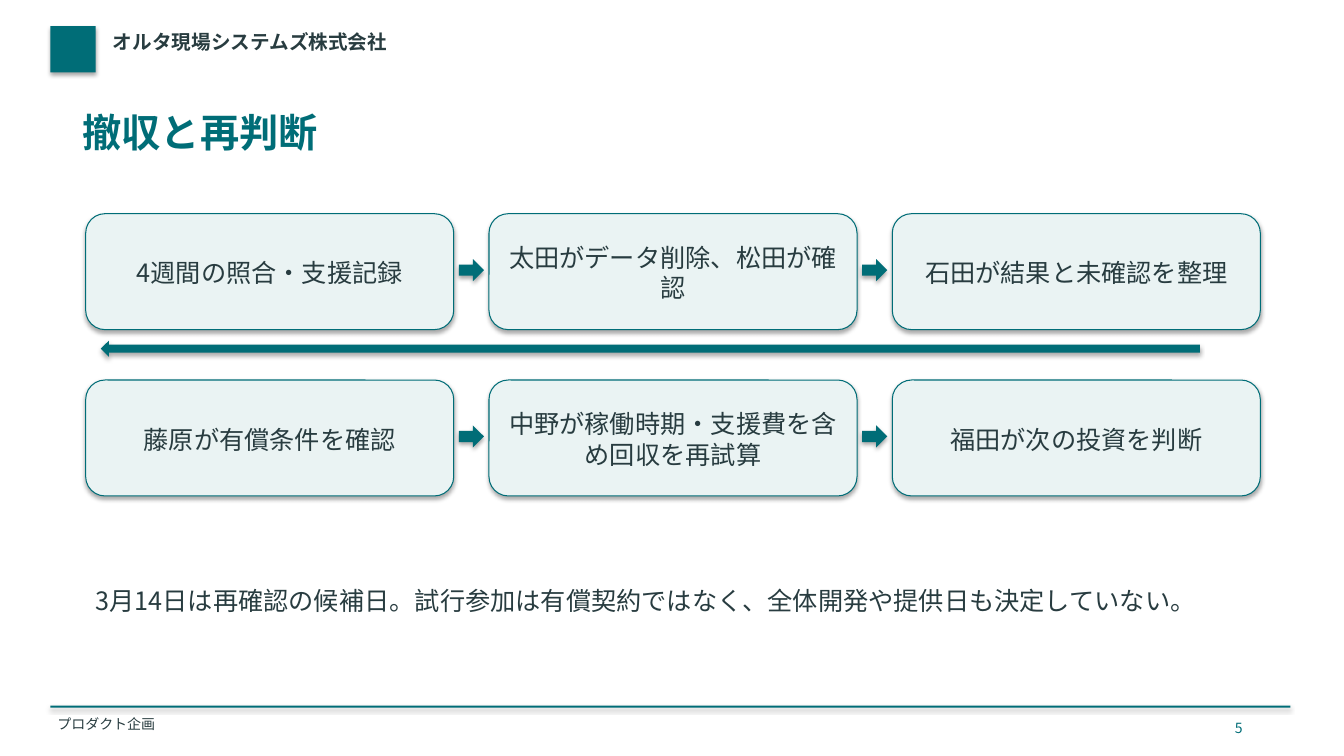
from dataclasses import dataclass

from lxml import etree
from pptx import Presentation
from pptx.dml.color import RGBColor
from pptx.enum.shapes import MSO_SHAPE
from pptx.enum.text import MSO_ANCHOR, PP_ALIGN
from pptx.oxml.ns import qn
from pptx.util import Inches, Pt

RECT = MSO_SHAPE.RECTANGLE
ROUNDED = MSO_SHAPE.ROUNDED_RECTANGLE
RIGHT_ARROW = MSO_SHAPE.RIGHT_ARROW
LEFT_ARROW = MSO_SHAPE.LEFT_ARROW
MIDDLE = MSO_ANCHOR.MIDDLE
TOP = MSO_ANCHOR.TOP
CENTER = PP_ALIGN.CENTER
LEFT = PP_ALIGN.LEFT


@dataclass(frozen=True)
class Theme:
    """Colours, type sizes and text insets of the deck."""
    font: str = "Noto Sans CJK JP"
    teal: RGBColor = RGBColor(0x00, 0x6D, 0x77)
    ink: RGBColor = RGBColor(0x28, 0x3C, 0x40)
    pale: RGBColor = RGBColor(0xEA, 0xF3, 0xF3)
    title: int = 28
    body: int = 18
    company: int = 14
    footer: int = 10
    tight: tuple = (0.02, 0.02, 0.02, 0.02)
    roomy: tuple = (0.1, 0.06, 0.1, 0.04)


THEME = Theme()

STEPS = (
    ("4週間の照合・支援記録", "太田がデータ削除、松田が確認", "石田が結果と未確認を整理"),
    ("藤原が有償条件を確認", "中野が稼働時期・支援費を含め回収を再試算", "福田が次の投資を判断"),
)


def write(shape, text, size, color=THEME.ink, bold=False, insets=THEME.roomy,
          align=LEFT, anchor=TOP):
    """Put one formatted paragraph into a shape."""
    frame = shape.text_frame
    frame.word_wrap = True
    frame.vertical_anchor = anchor
    frame.margin_left, frame.margin_top, frame.margin_right, frame.margin_bottom = map(Inches, insets)
    frame.text = text
    para = frame.paragraphs[0]
    para.alignment = align
    span = para.runs[0]
    span.font.name = THEME.font
    span.font.size = Pt(size)
    span.font.bold = bold
    span.font.color.rgb = color
    east_asian = etree.SubElement(span.font._element, qn("a:ea"))
    east_asian.set("typeface", THEME.font)


def add_label(page, box, text, size, **style):
    """Add a text box at the given box."""
    write(page.shapes.add_textbox(*map(Inches, box)), text, size, **style)


def add_solid(page, kind, box, fill=THEME.teal):
    """Add a filled, shadowed preset shape without an outline."""
    shape = page.shapes.add_shape(kind, *map(Inches, box))
    shape.fill.solid()
    shape.fill.fore_color.rgb = fill
    shape.line.fill.background()
    return shape


def add_header(page, box):
    """Place the company mark, company name and slide title."""
    left, top, width = box
    add_solid(page, RECT, (left, top, 0.45, 0.46))
    add_label(page, (left + 0.6, top + 0.02, 10, 0.4), "オルタ現場システムズ株式会社",
              THEME.company, bold=True, insets=THEME.tight)
    add_label(page, (left + 0.3, top + 0.79, width - 0.6, 0.75), "撤収と再判断",
              THEME.title, color=THEME.teal, bold=True, insets=THEME.tight)


def add_step(page, box, text):
    """Add one rounded step card."""
    card = add_solid(page, ROUNDED, box, THEME.pale)
    card.line.color.rgb = THEME.teal
    card.line.width = Pt(0.75)
    write(card, text, THEME.body, align=CENTER, anchor=MIDDLE)


def add_flow(page, box):
    """Lay out the step rows, their arrows and the return arrow between rows."""
    left, top, width, height = box
    gap, row_gap = 0.35, 0.5
    columns, rows = len(STEPS[0]), len(STEPS)
    card_width = (width - gap * (columns - 1)) / columns
    card_height = (height - row_gap * (rows - 1)) / rows
    for row, texts in enumerate(STEPS):
        y = top + row * (card_height + row_gap)
        for column, text in enumerate(texts):
            x = left + column * (card_width + gap)
            if column:
                add_solid(page, RIGHT_ARROW, (x - 0.3, y + 0.45, 0.25, 0.22))
            add_step(page, (x, y, card_width, card_height), text)
    add_solid(page, LEFT_ARROW, (left + 0.15, top + card_height + 0.11, width - 0.75, 0.16))


def add_footer(page, box):
    """Place the footer rule, department name and page number."""
    left, top, width = box
    add_solid(page, RECT, (left, top, width, 0.02))
    add_label(page, (left + 0.05, top + 0.08, 9, 0.22), "プロダクト企画",
              THEME.footer, insets=THEME.tight)
    add_label(page, (left + width - 0.65, top + 0.08, 0.5, 0.22), "5",
              THEME.footer, color=THEME.teal)


def main():
    """Build the slide and save the deck."""
    deck = Presentation()
    deck.slide_width, deck.slide_height = Inches(13.33), Inches(7.5)
    page = deck.slides.add_slide(deck.slide_layouts[6])
    add_header(page, (0.5, 0.26, 12.3))
    add_flow(page, (0.85, 2.12, 11.65, 2.8))
    add_label(page, (0.85, 5.75, 11.6, 0.85),
              "3月14日は再確認の候補日。試行参加は有償契約ではなく、全体開発や提供日も決定していない。",
              THEME.body)
    add_footer(page, (0.5, 7, 12.3))
    deck.save("out.pptx")


if __name__ == "__main__":
    main()
